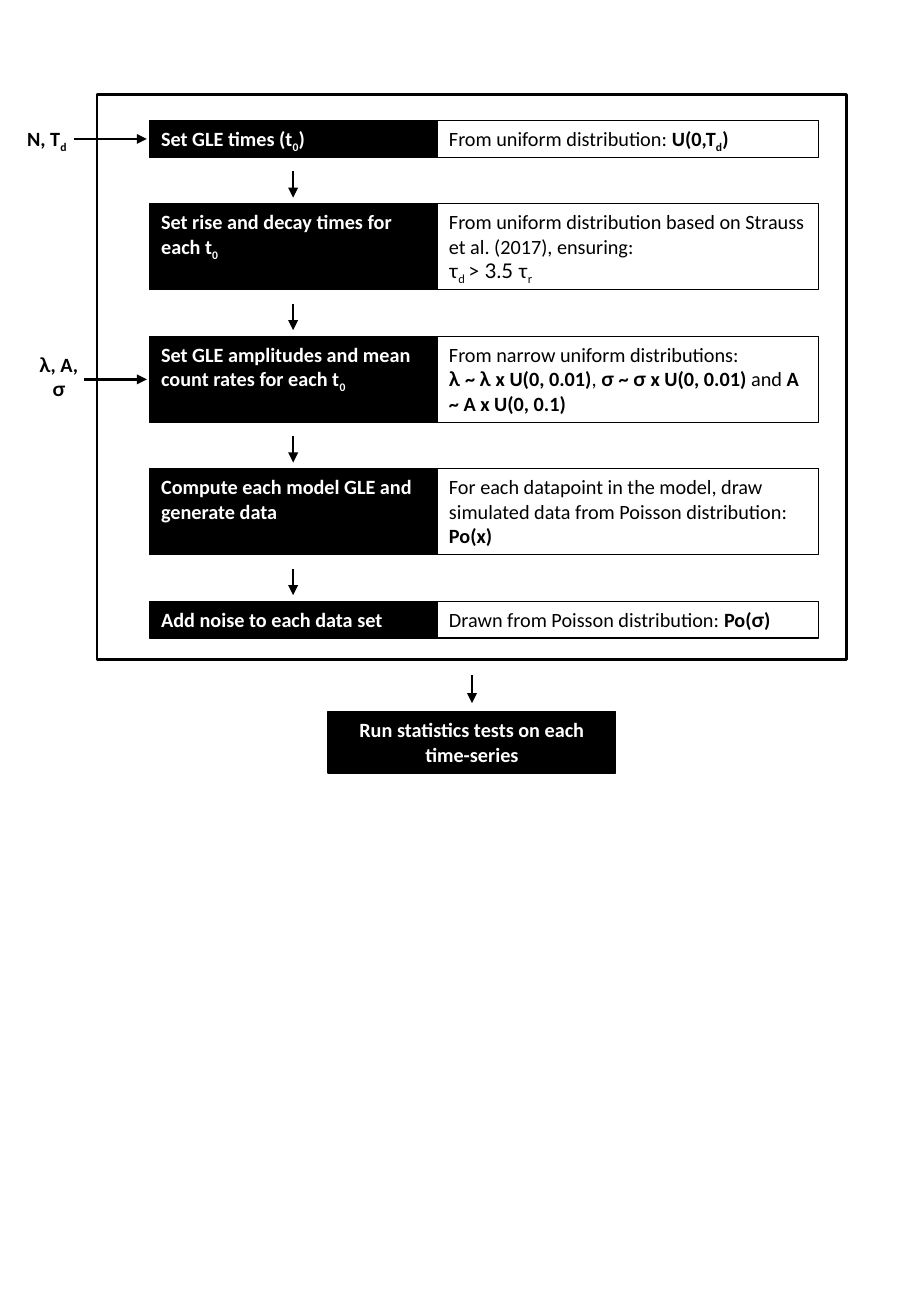
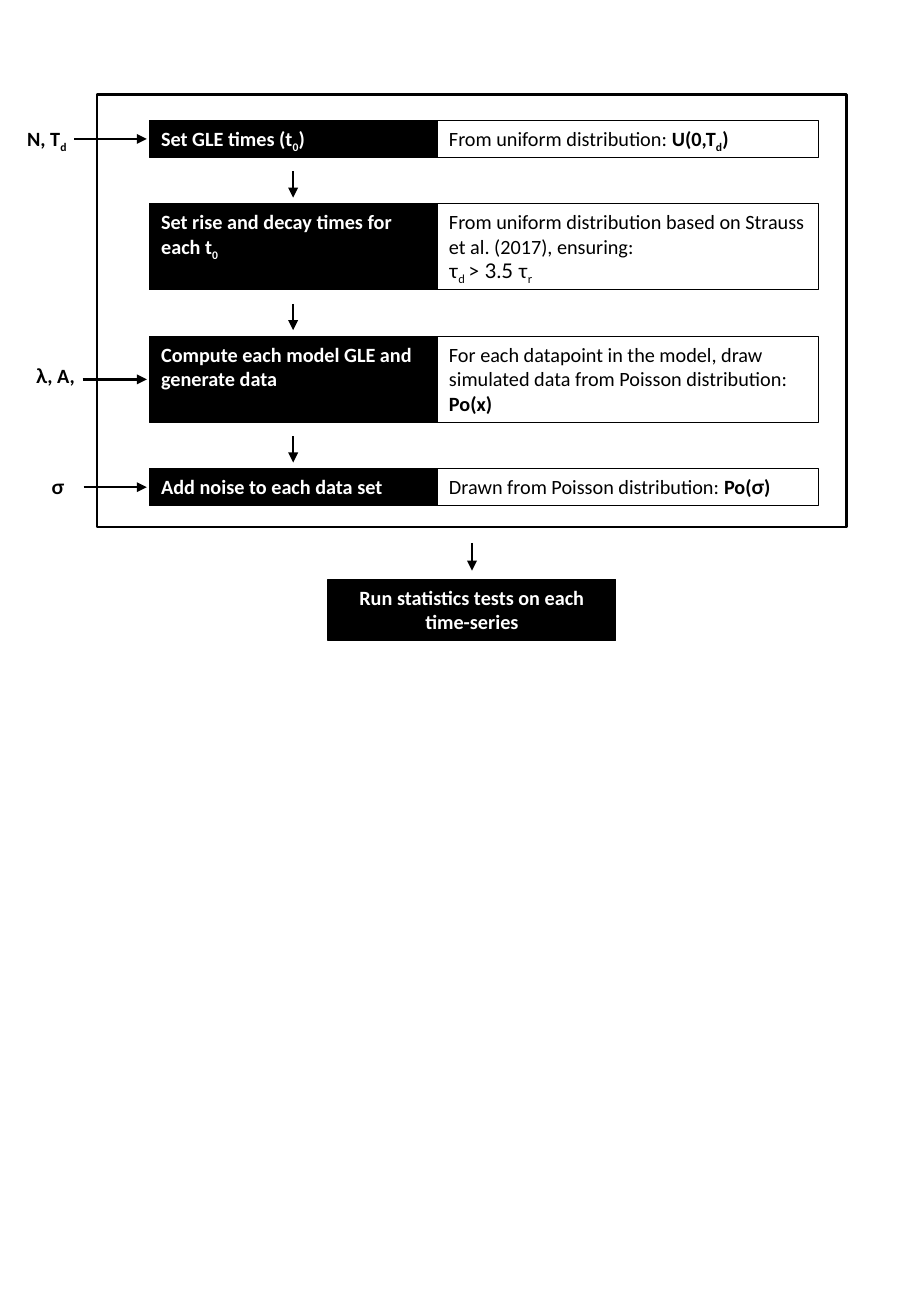
from lxml.etree import SubElement
from pptx import Presentation
from pptx.dml.color import RGBColor
from pptx.enum.shapes import MSO_CONNECTOR, MSO_SHAPE
from pptx.enum.text import MSO_ANCHOR, PP_ALIGN
from pptx.oxml.ns import qn
from pptx.util import Cm, Pt

COLORS = {"ink": "000000", "paper": "FFFFFF"}

# Lengths in cm
STEP_X, STEP_W = 3.12, 6.02
DETAIL_X, DETAIL_W = STEP_X + STEP_W, 7.98
FIRST_TOP, ROW_GAP = 2.52, 0.97
SHORT, TALL = 0.77, 1.8
FRAME_X, FRAME_TOP, FRAME_W, FRAME_PAD = 2.03, 1.98, 15.67, 0.45
RESULT_X, RESULT_H, RESULT_GAP = 6.86, 1.28, 1.09
LABEL_W, INPUT_END = 1.5, 3.07

# A paragraph is a list of (text, marks): b bold, s subscript, g Lato
SET_TIMES = (
    SHORT,
    [[("Set GLE times (t", "b"), ("0", "bs"), (")", "b")]],
    [[("From uniform distribution: ", ""), ("U(0,T", "b"), ("d", "bs"), (")", "b")]],
)
SET_RISE_DECAY = (
    TALL,
    [[("Set rise and decay times for each t", "b"), ("0", "bs")]],
    [
        [("From uniform distribution based on Strauss et al. (2017), ensuring:", "")],
        [("τ", "g"), ("d ", "gs"), ("> 3.5 τ", "g"), ("r", "gs")],
    ],
)
SET_AMPLITUDES = (
    TALL,
    [[("Set GLE amplitudes and mean count rates for each t", "b"), ("0", "bs")]],
    [
        [("From narrow uniform distributions:", "")],
        [("λ ", "bg"), ("~ ", "b"), ("λ ", "bg"), ("x U(0, 0.01)", "b"), (", ", ""),
         ("σ ", "bg"), ("~ ", "b"), ("σ ", "bg"), ("x U(0, 0.01) ", "b"),
         ("and ", ""), ("A ~ A x U(0, 0.1)", "b")],
    ],
)
COMPUTE_MODEL = (
    TALL,
    [[("Compute each model GLE and generate data", "b")]],
    [[("For each datapoint in the model, draw simulated data from Poisson distribution: ", ""),
      ("Po(x)", "b")]],
)
ADD_NOISE = (
    SHORT,
    [[("Add noise to each data set", "b")]],
    [[("Drawn from Poisson distribution: ", ""), ("Po(", "b"), ("σ", "bg"), (")", "b")]],
)
RUN_TESTS = [[("Run statistics tests on each time-series", "b")]]

# Inputs: row number, label x, label offset from row top, label height, arrow start, text
COUNT_INPUT = (0, 0.23, 0, SHORT, 1.55, [[("N, T", "b"), ("d", "bs")]])
FLOWS = [
    (
        [SET_TIMES, SET_RISE_DECAY, SET_AMPLITUDES, COMPUTE_MODEL, ADD_NOISE],
        [COUNT_INPUT,
         (2, 0.48, 0.2, TALL, 1.75, [[("λ", "bg"), (", A, ", "b"), ("σ", "bg")]])],
    ),
    (
        [SET_TIMES, SET_RISE_DECAY, COMPUTE_MODEL, ADD_NOISE],
        [COUNT_INPUT,
         (2, 0.46, 0.43, SHORT, 1.73, [[("λ", "bg"), (", A, ", "b")]]),
         (3, 0.46, 0, SHORT, 1.75, [[("σ", "bg")]])],
    ),
]


def rgb(name):
    return RGBColor.from_string(COLORS[name])


class FlowDeck:
    """Holds the text style and the slide being drawn."""

    font, greek_font, size = "Calibri", "Lato", Pt(12)

    def __init__(self):
        self.prs = Presentation()
        self.prs.slide_width, self.prs.slide_height = Cm(19.05), Cm(27.51)
        self.s = None

    def new_slide(self):
        self.s = self.prs.slides.add_slide(self.prs.slide_layouts[6])

    def add_text(self, tf, paragraphs, color, align):
        tf.word_wrap = True
        tf.vertical_anchor = MSO_ANCHOR.TOP
        for i, runs in enumerate(paragraphs):
            p = tf.add_paragraph() if i else tf.paragraphs[0]
            p.alignment = align
            for text, marks in runs:
                r = p.add_run()
                r.text = text
                r.font.name = self.greek_font if "g" in marks else self.font
                r.font.size = self.size
                r.font.bold = "b" in marks
                r.font.color.rgb = rgb(color)
                if "s" in marks:
                    r._r.get_or_add_rPr().set("baseline", "-25000")

    def box(self, x, y, w, h, paragraphs=(), filled=False, weight=0.75, align=PP_ALIGN.LEFT):
        sp = self.s.shapes.add_shape(MSO_SHAPE.RECTANGLE, Cm(x), Cm(y), Cm(w), Cm(h))
        sp.shadow.inherit = False
        if filled:
            sp.fill.solid()
            sp.fill.fore_color.rgb = rgb("ink")
        else:
            sp.fill.background()
        sp.line.color.rgb = rgb("ink")
        sp.line.width = Pt(weight)
        self.add_text(sp.text_frame, paragraphs, "paper" if filled else "ink", align)

    def label(self, x, y, h, paragraphs):
        sp = self.s.shapes.add_textbox(Cm(x), Cm(y), Cm(LABEL_W), Cm(h))
        self.add_text(sp.text_frame, paragraphs, "ink", PP_ALIGN.CENTER)

    def arrow(self, x1, y1, x2, y2):
        line = self.s.shapes.add_connector(
            MSO_CONNECTOR.STRAIGHT, Cm(x1), Cm(y1), Cm(x2), Cm(y2))
        line.line.color.rgb = rgb("ink")
        line.line.width = Pt(1.5)
        spPr = line.element.spPr
        SubElement(spPr.find(qn("a:ln")), qn("a:tailEnd"), type="triangle")
        SubElement(spPr, qn("a:effectLst"))

    def flow(self, rows, inputs):
        """Draws the framed rows, their inputs and the closing step."""
        self.new_slide()
        tops, y = [], FIRST_TOP
        for height, step, detail in rows:
            if tops:
                mid = STEP_X + STEP_W / 2
                self.arrow(mid, y - 0.68, mid, y - 0.13)
            tops.append(y)
            self.box(STEP_X, y, STEP_W, height, step, filled=True)
            self.box(DETAIL_X, y, DETAIL_W, height, detail)
            y += height + ROW_GAP

        for row, x, offset, height, start, text in inputs:
            self.label(x, tops[row] + offset, height, text)
            mid = tops[row] + rows[row][0] / 2
            self.arrow(start, mid, INPUT_END, mid)

        bottom = y - ROW_GAP + FRAME_PAD
        self.box(FRAME_X, FRAME_TOP, FRAME_W, bottom - FRAME_TOP, weight=1.5)
        mid = RESULT_X + STEP_W / 2
        self.arrow(mid, bottom + 0.33, mid, bottom + 0.91)
        self.box(RESULT_X, bottom + RESULT_GAP, STEP_W, RESULT_H, RUN_TESTS,
                 filled=True, align=PP_ALIGN.CENTER)


def main():
    deck = FlowDeck()
    for rows, inputs in FLOWS:
        deck.flow(rows, inputs)
    deck.prs.save("out.pptx")


if __name__ == "__main__":
    main()
